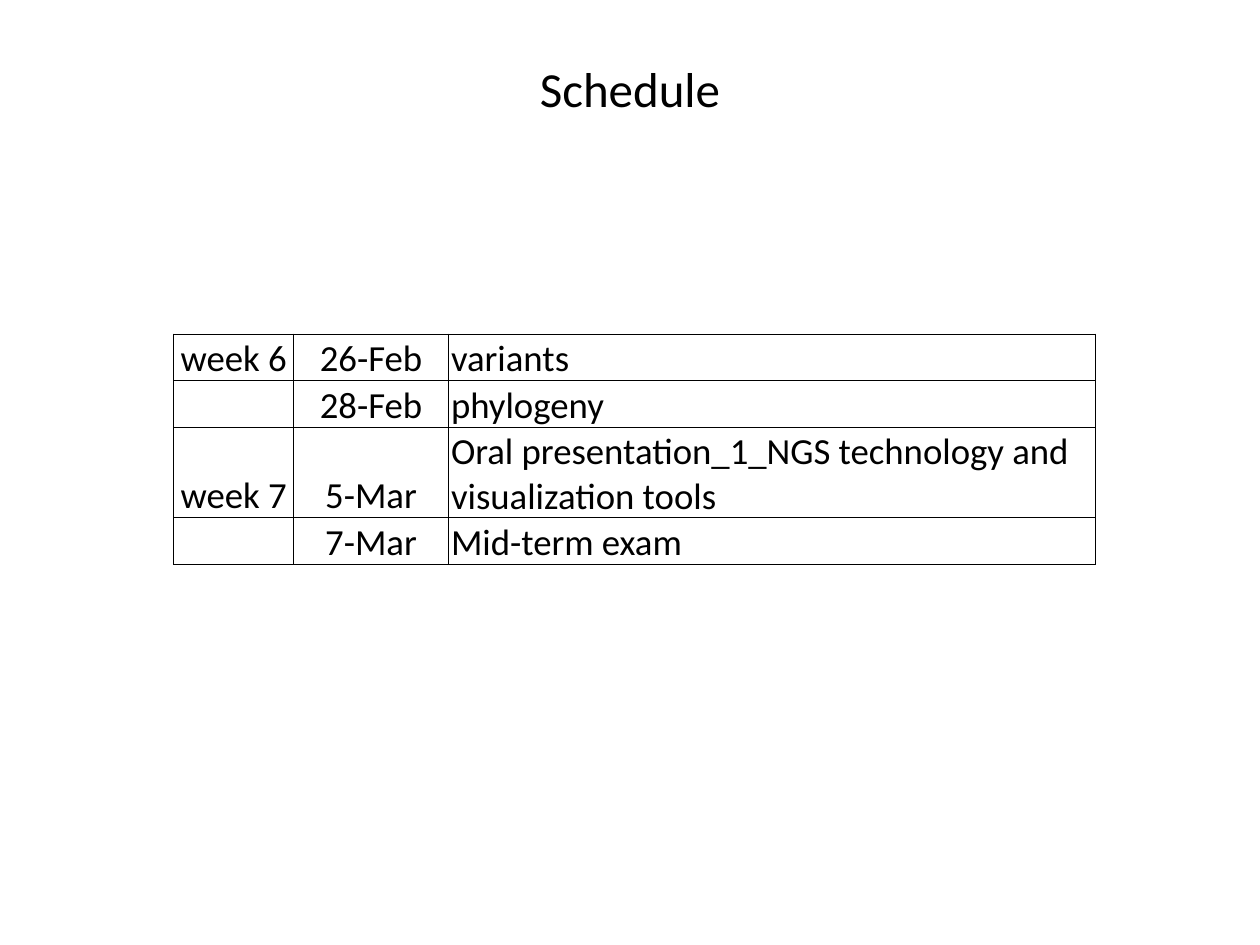
import pptx
import pptx.util
import pptx.dml.color
import pptx.enum.text
import pptx.oxml
import pptx.oxml.ns

Inches = pptx.util.Inches
Pt = pptx.util.Pt
ALIGN = pptx.enum.text.PP_ALIGN
ANCHOR = pptx.enum.text.MSO_ANCHOR
BLACK = pptx.dml.color.RGBColor(0, 0, 0)
WHITE = pptx.dml.color.RGBColor(255, 255, 255)
FONT = "Calibri"


def style(par, size, align):
    par.alignment = align
    par.font.size = Pt(size)
    par.font.name = FONT
    par.font.color.rgb = BLACK
    for run in par.runs:
        run.font.size = Pt(size)
        run.font.name = FONT
        run.font.color.rgb = BLACK


def border(cell):
    props = cell._tc.get_or_add_tcPr()
    for spot, side in enumerate(("lnL", "lnR", "lnT", "lnB")):
        line = pptx.oxml.parse_xml(
            f'<a:{side} {pptx.oxml.ns.nsdecls("a")} w="{Pt(0.5)}">'
            f'<a:solidFill><a:srgbClr val="{BLACK}"/></a:solidFill></a:{side}>')
        props.insert(spot, line)


deck = pptx.Presentation()
deck.slide_width = Inches(10)
deck.slide_height = Inches(7.5)
wide, high = deck.slide_width, deck.slide_height
slide = deck.slides.add_slide(deck.slide_layouts[6])

# Title, centred across the slide
title = slide.shapes.add_textbox(
    int(wide * 0.05), int(high * 0.04), int(wide * 0.9), Inches(0.79))
frame = title.text_frame
frame.word_wrap = True
frame.vertical_anchor = ANCHOR.MIDDLE
frame.text = "Schedule"
style(frame.paragraphs[0], 28, ALIGN.CENTER)

# Schedule table: week, date, topic
rows = [
    ("week 6", "26-Feb", "variants"),
    ("", "28-Feb", "phylogeny"),
    ("week 7", "5-Mar",
     "Oral presentation_1_NGS technology and visualization tools"),
    ("", "7-Mar", "Mid-term exam"),
]
widths = [0.95, 1.23, 5.13]
aligns = [ALIGN.CENTER, ALIGN.CENTER, ALIGN.LEFT]
step = 0.29
table = slide.shapes.add_table(
    len(rows), len(widths), Inches(1.38), Inches(2.65),
    Inches(sum(widths)), Inches(step * len(rows))).table
table.first_row = False
table.horz_banding = False

for col, width in zip(table.columns, widths):
    col.width = Inches(width)

for r, texts in enumerate(rows):
    table.rows[r].height = Inches(step)
    for c, text in enumerate(texts):
        cell = table.cell(r, c)
        cell.margin_left = cell.margin_right = cell.margin_top = Inches(0.02)
        cell.margin_bottom = 0
        cell.vertical_anchor = ANCHOR.BOTTOM
        cell.fill.solid()
        cell.fill.fore_color.rgb = WHITE
        border(cell)
        cell.text_frame.text = text
        style(cell.text_frame.paragraphs[0], 21, aligns[c])

deck.save("out.pptx")
